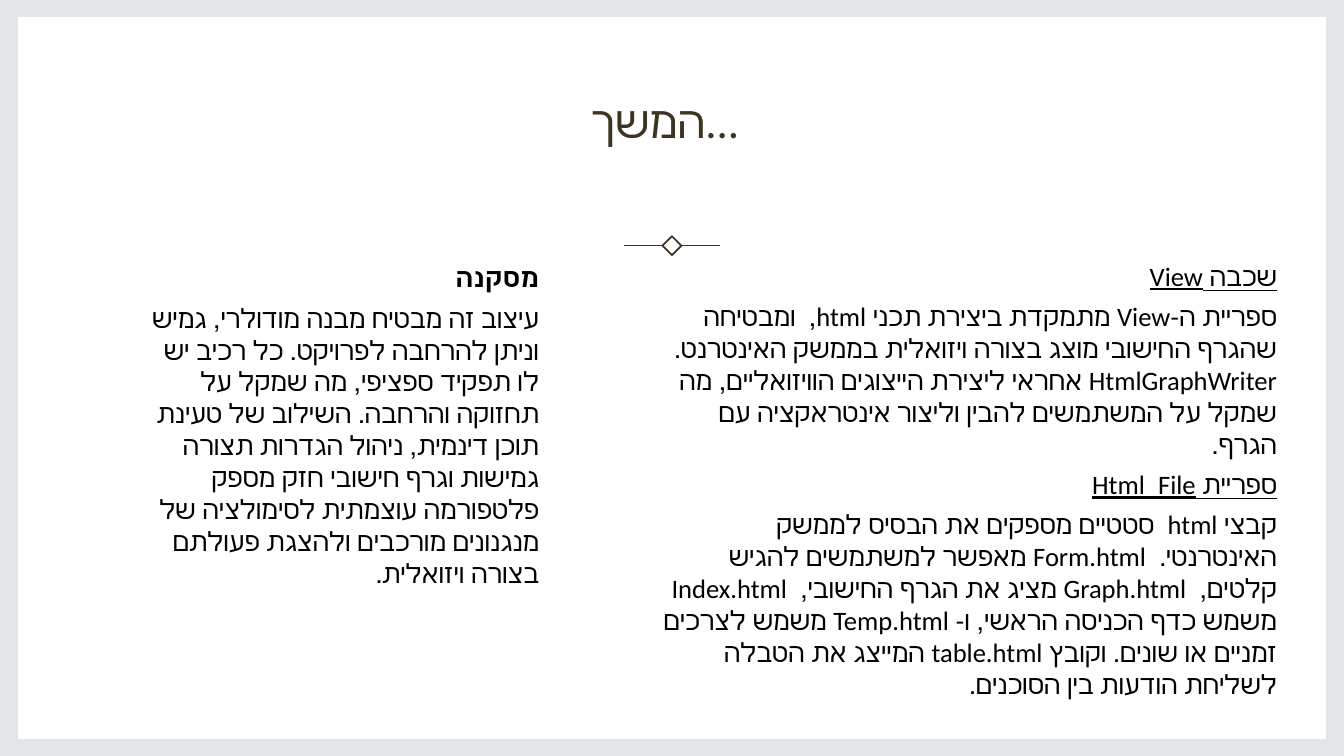
from dataclasses import dataclass

from lxml.etree import SubElement
from pptx import Presentation
from pptx.dml.color import RGBColor
from pptx.enum.shapes import MSO_CONNECTOR as Connector, MSO_SHAPE as Shape
from pptx.enum.text import MSO_ANCHOR as Anchor, PP_ALIGN as Align
from pptx.oxml.ns import qn
from pptx.util import Inches, Pt

WIDTH, HEIGHT = Inches(13.33), Inches(7.5)
COLORS = {"frame": "E2E6E8", "panel": "FFFFFF", "accent": "3D3522", "body": "000000"}
FONT = "Calibri"
BODY_SIZE = 19
DIAMOND_LINE, ARM_LINE = Pt(1.25), Pt(0.75)


@dataclass(frozen=True)
class Area:
    """A rectangle in percent of the slide's width and height."""
    left: float
    top: float
    width: float
    height: float

    def box(self) -> tuple[int, int, int, int]:
        return (column(self.left), row(self.top),
                column(self.width), row(self.height))


@dataclass(frozen=True)
class Passage:
    text: str
    size: float = BODY_SIZE
    color: str = "body"
    bold: bool = False
    underline: bool = False
    rtl: bool = True
    align: Align = Align.RIGHT
    line_spacing: float = 1.0
    space_after: float = 6


@dataclass(frozen=True)
class TextBlock:
    area: Area
    passages: tuple[Passage, ...]
    anchor: Anchor = Anchor.TOP


def column(percent: float) -> int:
    return round(WIDTH * percent / 100)


def row(percent: float) -> int:
    return round(HEIGHT * percent / 100)


def rgb(name: str) -> RGBColor:
    return RGBColor.from_string(COLORS[name])


def add_passage(paragraph, passage: Passage) -> None:
    paragraph.alignment = passage.align
    paragraph.line_spacing = passage.line_spacing
    paragraph.space_after = Pt(passage.space_after)
    if passage.rtl:
        paragraph._p.get_or_add_pPr().set("rtl", "1")
    run = paragraph.add_run()
    run.text = passage.text
    font = run.font
    font.name = FONT
    font.size = Pt(passage.size)
    font.bold = passage.bold
    font.underline = passage.underline
    font.color.rgb = rgb(passage.color)


def add_text_block(slide, block: TextBlock) -> None:
    frame = slide.shapes.add_textbox(*block.area.box()).text_frame
    frame.word_wrap = True
    frame.vertical_anchor = block.anchor
    for index, passage in enumerate(block.passages):
        paragraph = frame.add_paragraph() if index else frame.paragraphs[0]
        add_passage(paragraph, passage)


def add_panel(slide, area: Area) -> None:
    panel = slide.shapes.add_shape(Shape.RECTANGLE, *area.box())
    panel.shadow.inherit = False
    panel.fill.solid()
    panel.fill.fore_color.rgb = rgb("panel")
    panel.line.fill.background()


def add_ornament(slide, area: Area, reach: float) -> None:
    """Draw a diamond with a line from each side, ending `reach` from the centre."""
    diamond = slide.shapes.add_shape(Shape.DIAMOND, *area.box())
    diamond.shadow.inherit = False
    diamond.fill.background()
    diamond.line.color.rgb = rgb("accent")
    diamond.line.width = DIAMOND_LINE
    center_x = area.left + area.width / 2
    y = row(area.top + area.height / 2)
    for side, direction in ((1, -1), (3, 1)):
        end_x = column(center_x + direction * reach)
        arm = slide.shapes.add_connector(Connector.STRAIGHT, end_x, y, end_x, y)
        arm.begin_connect(diamond, side)
        arm.line.color.rgb = rgb("accent")
        arm.line.width = ARM_LINE
        SubElement(arm._element.spPr, qn("a:effectLst"))


PANEL = Area(1.35, 2.27, 97.3, 95.46)
DIAMOND = Area(49.3, 31.25, 1.4, 2.5)
ARM_REACH = 3.57

TITLE = TextBlock(
    Area(7.95, 5.07, 83.1, 15.07),
    (Passage("המשך...", size=32, color="accent", rtl=False, align=Align.CENTER,
             line_spacing=1.1, space_after=0),),
    Anchor.BOTTOM,
)
LIBRARIES = TextBlock(
    Area(48.3, 33.7, 47.45, 56.27),
    (
        Passage("שכבה View", underline=True),
        Passage("ספריית ה-View מתמקדת ביצירת תכני html,  ומבטיחה שהגרף החישובי "
                "מוצג בצורה ויזואלית בממשק האינטרנט.  HtmlGraphWriter אחראי "
                "ליצירת הייצוגים הוויזואליים, מה שמקל על המשתמשים להבין "
                "וליצור אינטראקציה עם הגרף."),
        Passage("ספריית Html_File", underline=True),
        Passage("קבצי html  סטטיים מספקים את הבסיס לממשק האינטרנטי.  Form.html "
                "מאפשר למשתמשים להגיש קלטים,  Graph.html מציג את הגרף החישובי,  "
                "Index.html משמש כדף הכניסה הראשי, ו- Temp.html משמש לצרכים "
                "זמניים או שונים. וקובץ table.html המייצג את הטבלה לשליחת "
                "הודעות בין הסוכנים."),
    ),
)
CONCLUSION = TextBlock(
    Area(10.03, 33.9, 30.83, 45.07),
    (
        Passage("מסקנה", bold=True),
        Passage("עיצוב זה מבטיח מבנה מודולרי, גמיש וניתן להרחבה לפרויקט. כל רכיב "
                "יש לו תפקיד ספציפי, מה שמקל על תחזוקה והרחבה. השילוב של טעינת "
                "תוכן דינמית, ניהול הגדרות תצורה גמישות וגרף חישובי חזק מספק "
                "פלטפורמה עוצמתית לסימולציה של מנגנונים מורכבים ולהצגת פעולתם "
                "בצורה ויזואלית."),
    ),
)


def main() -> None:
    deck = Presentation()
    deck.slide_width, deck.slide_height = WIDTH, HEIGHT
    slide = deck.slides.add_slide(deck.slide_layouts[6])
    slide.background.fill.solid()
    slide.background.fill.fore_color.rgb = rgb("frame")
    add_panel(slide, PANEL)
    add_ornament(slide, DIAMOND, ARM_REACH)
    for block in (TITLE, LIBRARIES, CONCLUSION):
        add_text_block(slide, block)
    deck.save("out.pptx")


if __name__ == "__main__":
    main()
